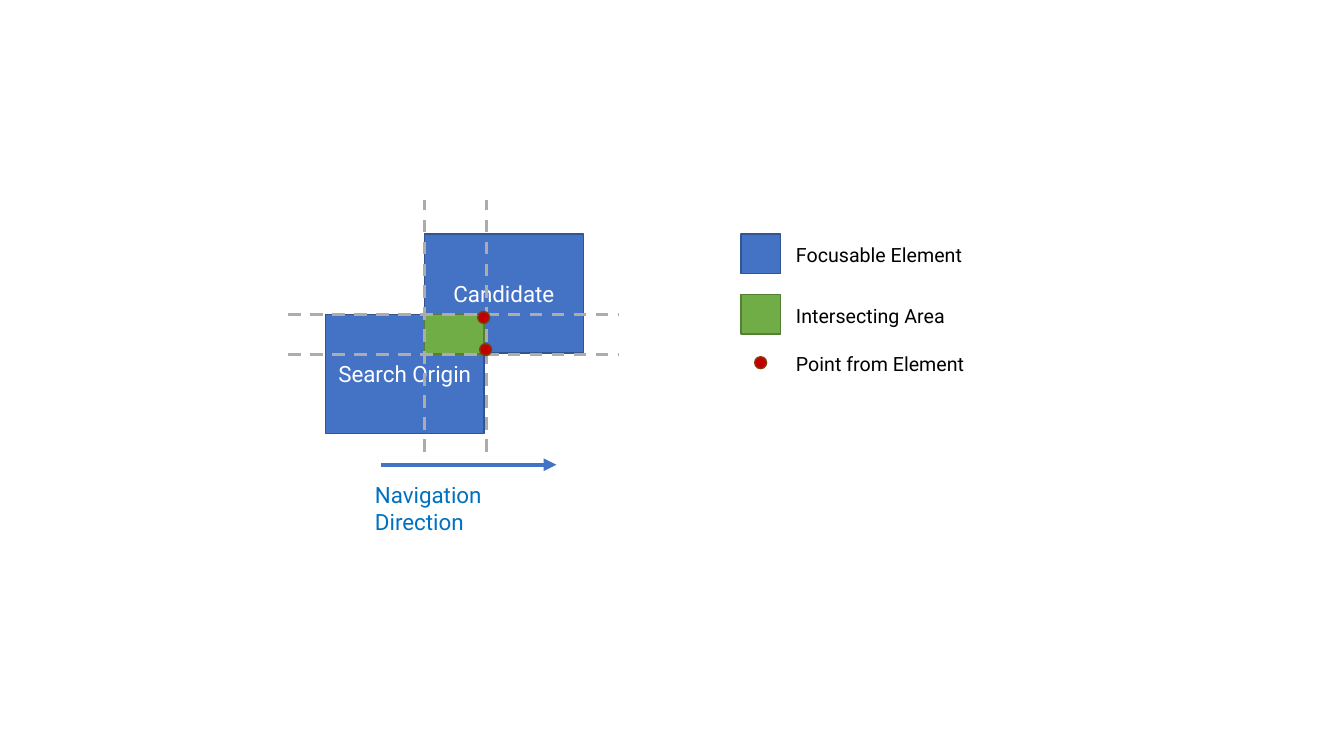
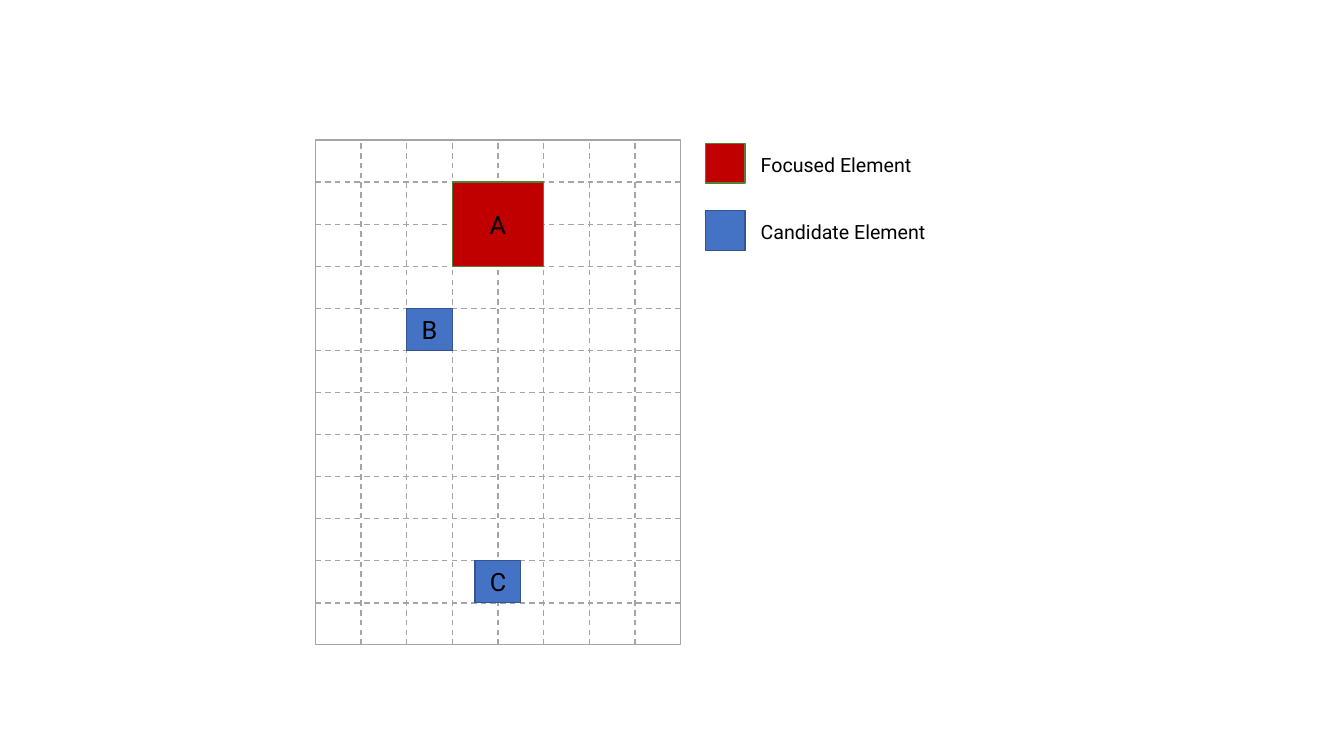
import pptx
import pptx.util
import pptx.dml.color
import pptx.enum.dml
import pptx.enum.shapes
import pptx.enum.text
import pptx.oxml
import pptx.oxml.ns

Cm = pptx.util.Cm
Pt = pptx.util.Pt
Shape = pptx.enum.shapes.MSO_SHAPE
Align = pptx.enum.text.PP_ALIGN

FONT = "Roboto"
BLACK, WHITE = "000000", "FFFFFF"
BLUE = ("4472C4", "325491")
GREEN = ("70AD47", "538035")
RED = ("C00000", "538035")
POINT = ("C00000", "843C0B")
GUIDE, GRID, HINT = "AFABAB", "A5A5A5", "0070C0"
DOT = 0.3
KEY = 1


def color(code):
    return pptx.dml.color.RGBColor.from_string(code)


def write(shape, text, size, code, align):
    frame = shape.text_frame
    frame.word_wrap = True
    frame.vertical_anchor = pptx.enum.text.MSO_ANCHOR.MIDDLE
    frame.text = text
    para = frame.paragraphs[0]
    para.alignment = align
    font = para.runs[0].font
    font.name, font.size = FONT, Pt(size)
    font.color.rgb = color(code)


def add_box(slide, x, y, w, h, paint, text="", size=16, code=WHITE, kind=Shape.RECTANGLE):
    """Add a shape; paint is its fill (None for no fill) and its outline."""
    box = slide.shapes.add_shape(kind, Cm(x), Cm(y), Cm(w), Cm(h))
    box.shadow.inherit = False
    fill, edge = paint
    if fill:
        box.fill.solid()
        box.fill.fore_color.rgb = color(fill)
    else:
        box.fill.background()
    box.line.color.rgb = color(edge)
    box.line.width = Pt(1)
    if text:
        write(box, text, size, code, Align.CENTER)
    return box


def add_dot(slide, x, y):
    add_box(slide, x, y, DOT, DOT, POINT, kind=Shape.OVAL)


def add_label(slide, x, y, w, h, text, size, code):
    label = slide.shapes.add_textbox(Cm(x), Cm(y), Cm(w), Cm(h))
    write(label, text, size, code, Align.LEFT)


def add_line(slide, start, end, code, width, dash=True):
    line = slide.shapes.add_connector(
        pptx.enum.shapes.MSO_CONNECTOR.STRAIGHT, *map(Cm, start + end))
    line.line.color.rgb = color(code)
    line.line.width = Pt(width)
    if dash:
        line.line.dash_style = pptx.enum.dml.MSO_LINE.DASH
    props = line._element.spPr
    props.append(pptx.oxml.parse_xml(f"<a:effectLst {pptx.oxml.ns.nsdecls('a')}/>"))
    return line


def add_arrow(slide, start, end, code, width):
    line = add_line(slide, start, end, code, width, dash=False)
    line.line._ln.append(pptx.oxml.parse_xml(
        f'<a:tailEnd {pptx.oxml.ns.nsdecls("a")} type="triangle"/>'))


def add_key(slide, x, y, text, paint):
    """Add a legend row: a square, or a dot for the point colours, and its name."""
    if paint == POINT:
        inset = (KEY - DOT) / 2
        add_dot(slide, x + inset, y + inset)
    else:
        add_box(slide, x, y, KEY, KEY, paint)
    add_label(slide, x + 1.14, y + 0.1, 5.5, 0.86, text, 14, BLACK)


def add_grid(slide, x, y, cols, rows, wide, high):
    right, low = x + cols * wide, y + rows * high
    frame = add_box(slide, x, y, right - x, low - y, (None, GRID))
    for col in range(1, cols):
        at = x + col * wide
        line = add_line(slide, (at, low), (at, y), GRID, 1)
        if 2 * col == cols:
            line.begin_connect(frame, 2)
            line.end_connect(frame, 0)
    for row in range(1, rows):
        at = y + row * high
        line = add_line(slide, (x, at), (right, at), GRID, 1)
        if 2 * row == rows:
            line.begin_connect(frame, 1)
            line.end_connect(frame, 3)


def draw_overlap(slide):
    add_box(slide, 8.2, 7.92, 4, 3, BLUE, "Search Origin")
    add_box(slide, 10.7, 5.9, 4, 3, BLUE, "Candidate")
    add_box(slide, 10.7, 7.92, 1.5, 1, GREEN)
    for y, text, paint in ((5.9, "Focusable Element", BLUE),
                           (7.42, "Intersecting Area", GREEN),
                           (8.64, "Point from Element", POINT)):
        add_key(slide, 18.67, y, text, paint)
    add_arrow(slide, (9.6, 11.71), (14.02, 11.71), BLUE[0], 3)
    add_label(slide, 9.2, 11.99, 3.6, 1.62, "Navigation Direction", 16, HINT)
    for x in (10.7, 12.27):
        add_line(slide, (x, 11.38), (x, 5.05), GUIDE, 2.25)
    for y in (7.92, 8.94):
        add_line(slide, (7.27, y), (15.6, y), GUIDE, 2.25)
    add_dot(slide, 12.04, 7.85)
    add_dot(slide, 12.09, 8.66)


def draw_grid(slide):
    left, top, wide, high = 7.95, 3.53, 1.15, 1.06
    for y, text, paint in ((3.61, "Focused Element", RED),
                           (5.31, "Candidate Element", BLUE)):
        add_key(slide, 17.78, y, text, paint)
    add_grid(slide, left, top, 8, 12, wide, high)
    for text, col, row, span, paint in (("A", 3, 1, 2, RED),
                                        ("B", 2, 4, 1, BLUE),
                                        ("C", 3.5, 10, 1, BLUE)):
        add_box(slide, left + col * wide, top + row * high,
                span * wide, span * high, paint, text, 18, BLACK)


def main():
    deck = pptx.Presentation()
    deck.slide_width, deck.slide_height = Cm(33.87), Cm(19.05)
    blank = deck.slide_layouts[6]
    for draw in (draw_overlap, draw_grid):
        draw(deck.slides.add_slide(blank))
    deck.save("out.pptx")


if __name__ == "__main__":
    main()
